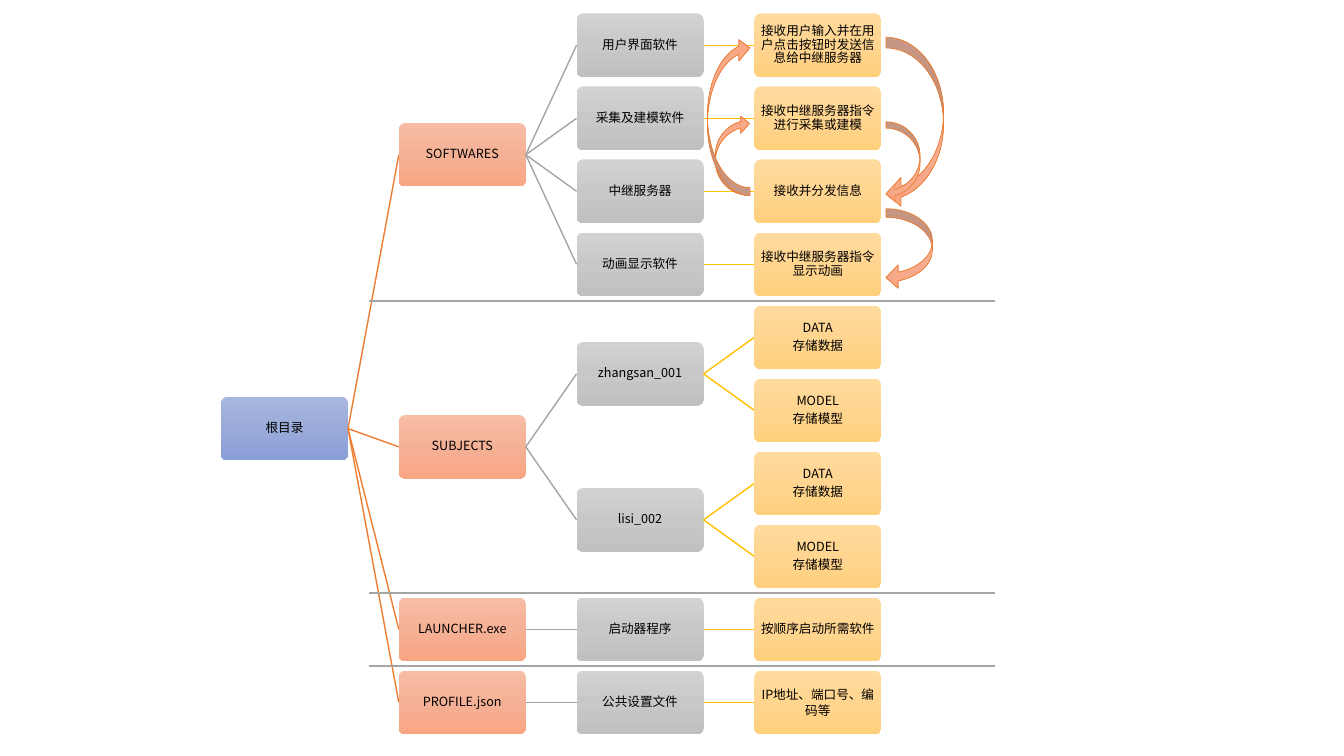
from copy import deepcopy
from dataclasses import dataclass, field

from lxml import etree
from pptx import Presentation
from pptx import util as u
from pptx.dml.color import RGBColor
from pptx.enum import shapes, text
from pptx.oxml.ns import qn


@dataclass(frozen=True)
class Theme:
    font: str = "Noto Sans CJK SC"
    size: float = 9
    ink: str = "000000"
    divider: str = "A5A5A5"
    arrow_edge: str = "ED7D31"
    links: tuple = ("ED7D31", "A5A5A5", "FFC000")
    levels: tuple = (
        ("A8B7DF", "9AABD9", "889ED7"),
        ("F7BDA5", "F5B196", "F8A582"),
        ("D2D2D2", "C8C8C8", "C0C0C0"),
        ("FFDB9E", "FFD590", "FFD07C"),
    )


@dataclass
class Node:
    label: str
    children: list = field(default_factory=list)
    compact: bool = True
    row: float = 0


THEME = Theme()
BOX_W, BOX_H = 3.2, 1.6
LEFT, COLUMN_STEP = 5.57, 4.48
TOP, ROW_STEP = 0.34, 1.84
DIVIDER_LEFT, DIVIDER_RIGHT = 9.3, 25.07
SECTION_ROWS = (4, 8, 9)

RIGHT_ARROWS = ((22.33, 0.94, 1.45, 4.32), (22.33, 5.26, 1.17, 2.03), (22.33, 3.07, 0.86, 2.03))
LEFT_ARROWS = ((18.03, 2.9, 0.86, 2.03), (17.83, 0.94, 1.07, 3.99))


def subject(name):
    return Node(name, [Node("DATA\n存储数据"), Node("MODEL\n存储模型")])


def directory_tree():
    softwares = (
        ("用户界面软件", "接收用户输入并在用户点击按钮时发送信息给中继服务器"),
        ("采集及建模软件", "接收中继服务器指令进行采集或建模"),
        ("中继服务器", "接收并分发信息"),
        ("动画显示软件", "接收中继服务器指令显示动画"),
    )
    return Node("根目录", [
        Node("SOFTWARES", [Node(name, [Node(duty)]) for name, duty in softwares]),
        Node("SUBJECTS", [subject("zhangsan_001"), subject("lisi_002")]),
        Node("LAUNCHER.exe", [Node("启动器程序", [Node("按顺序启动所需软件")])]),
        Node("PROFILE.json", [
            Node("公共设置文件", [Node("IP地址、端口号、编码等", compact=False)]),
        ]),
    ])


def assign_rows(node, next_row=0):
    if not node.children:
        node.row = next_row
        return next_row + 1
    for child in node.children:
        next_row = assign_rows(child, next_row)
    node.row = (node.children[0].row + node.children[-1].row) / 2
    return next_row


def column_left(level):
    return LEFT + level * COLUMN_STEP


def row_top(row):
    return TOP + row * ROW_STEP


def row_middle(row):
    return row_top(row) + BOX_H / 2


def paint_gradient(shape, colours):
    shape.fill.gradient()
    shape.fill.gradient_angle = 270
    stop_list = shape._element.spPr.find(".//" + qn("a:gsLst"))
    stop_list.append(deepcopy(stop_list[0]))
    for stop, position, colour in zip(shape.fill.gradient_stops, (0, 0.5, 1), colours):
        stop.position = position
        stop.color.rgb = RGBColor.from_string(colour)


def add_line(group, start, end, colour, width):
    line = group.shapes.add_connector(
        shapes.MSO_CONNECTOR.STRAIGHT, *(u.Cm(v) for v in (*start, *end)))
    line.line.color.rgb = RGBColor.from_string(colour)
    line.line.width = u.Pt(width)
    etree.SubElement(line._element.spPr, qn("a:effectLst"))


def add_gradient_shape(group, kind, bounds, colours):
    shape = group.shapes.add_shape(kind, *(u.Cm(v) for v in bounds))
    shape.shadow.inherit = False
    paint_gradient(shape, colours)
    return shape


def write_label(box, node):
    frame = box.text_frame
    frame.word_wrap = True
    frame.vertical_anchor = text.MSO_ANCHOR.MIDDLE
    frame.margin_left = frame.margin_right = u.Cm(0.03)
    frame.margin_top = frame.margin_bottom = u.Cm(0.03)
    frame.text = node.label
    for paragraph in frame.paragraphs:
        paragraph.alignment = text.PP_ALIGN.CENTER
        if node.compact:
            paragraph.line_spacing = 0.9
            paragraph.space_after = u.Pt(0.35 * THEME.size)
        paragraph.font.size = u.Pt(THEME.size)
        paragraph.font.color.rgb = RGBColor.from_string(THEME.ink)
        paragraph.font.name = THEME.font
        defaults = paragraph._p.pPr.find(qn("a:defRPr"))
        etree.SubElement(defaults, qn("a:ea"), typeface=THEME.font)


def add_branch(group, node, level=0):
    bounds = (column_left(level), row_top(node.row), BOX_W, BOX_H)
    box = add_gradient_shape(
        group, shapes.MSO_SHAPE.ROUNDED_RECTANGLE, bounds, THEME.levels[level])
    box.adjustments[0] = 0.1
    box.line.fill.background()
    write_label(box, node)
    for child in node.children:
        start = (column_left(level) + BOX_W, row_middle(node.row))
        end = (column_left(level + 1), row_middle(child.row))
        add_line(group, start, end, THEME.links[level], 1)
        add_branch(group, child, level + 1)


def add_message_arrow(group, bounds, flipped=False):
    arrow = add_gradient_shape(
        group, shapes.MSO_SHAPE.CURVED_LEFT_ARROW, bounds, THEME.levels[1])
    for index, ratio in enumerate((0.186, 0.5, 0.26)):
        arrow.adjustments[index] = ratio
    arrow.line.color.rgb = RGBColor.from_string(THEME.arrow_edge)
    arrow.line.width = u.Pt(0.5)
    if flipped:
        for axis in ("flipH", "flipV"):
            arrow._element.spPr.xfrm.set(axis, "1")


def main():
    deck = Presentation()
    deck.slide_width, deck.slide_height = u.Cm(33.87), u.Cm(19.05)
    slide = deck.slides.add_slide(deck.slide_layouts[6])

    root = directory_tree()
    assign_rows(root)
    add_branch(slide.shapes.add_group_shape(), root)

    messages = slide.shapes.add_group_shape()
    for bounds in RIGHT_ARROWS:
        add_message_arrow(messages, bounds)
    for bounds in LEFT_ARROWS:
        add_message_arrow(messages, bounds, flipped=True)

    dividers = slide.shapes.add_group_shape()
    for row in SECTION_ROWS:
        y = row_top(row) - (ROW_STEP - BOX_H) / 2
        add_line(dividers, (DIVIDER_LEFT, y), (DIVIDER_RIGHT, y), THEME.divider, 1.5)

    deck.save("out.pptx")


main()
